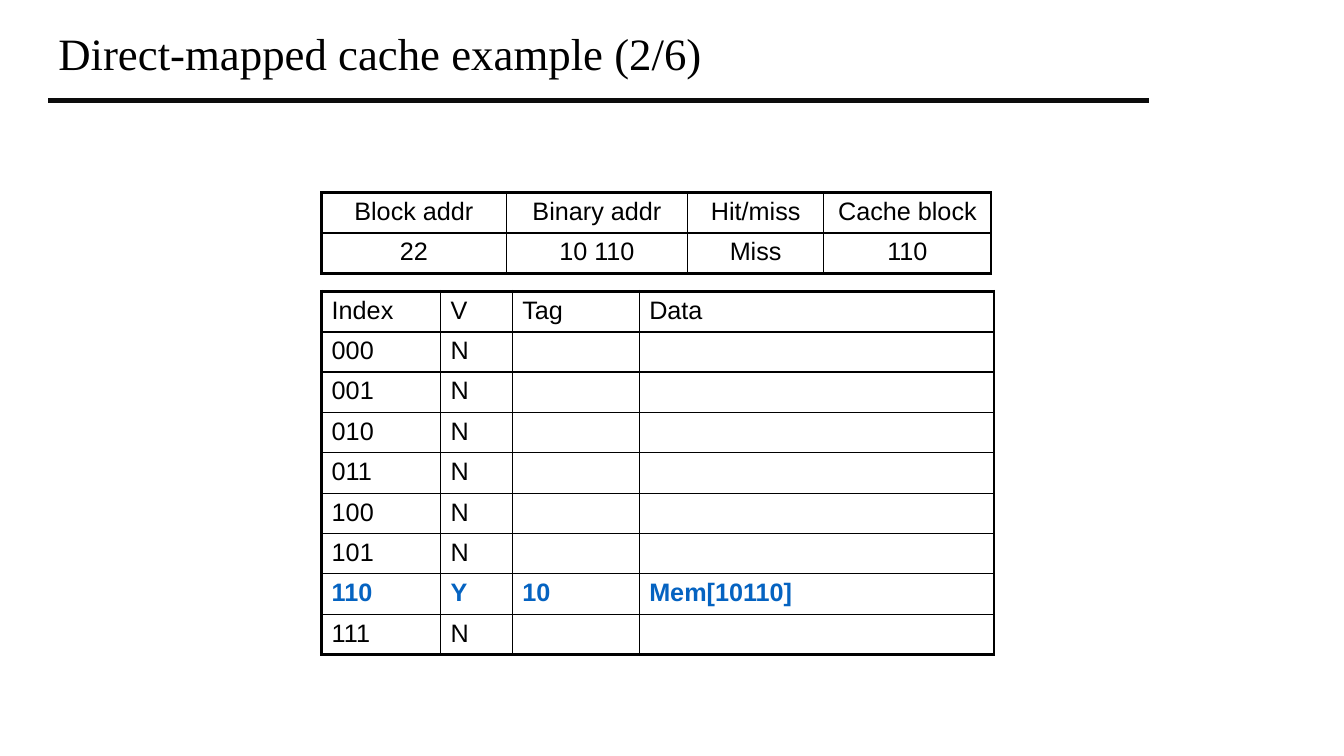
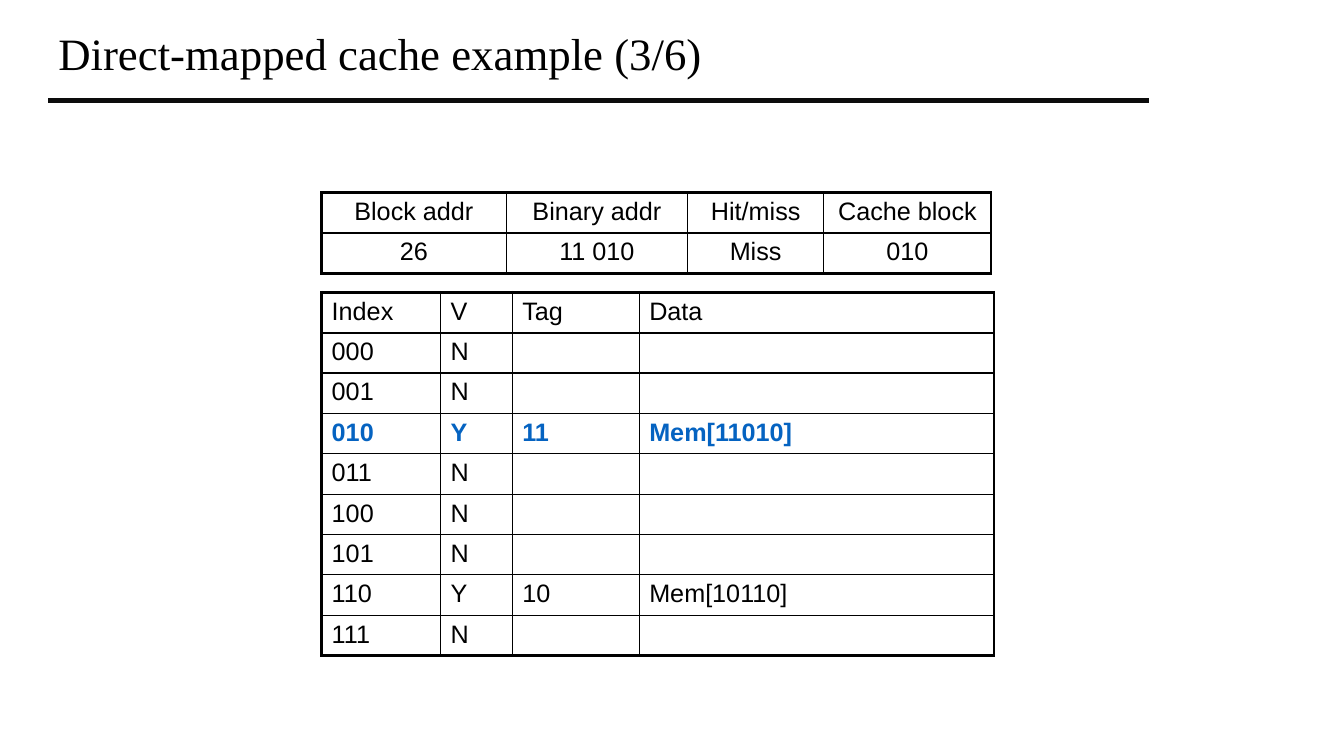
from dataclasses import dataclass

from lxml import etree
from pptx import Presentation
from pptx.dml.color import RGBColor
from pptx.enum.shapes import MSO_CONNECTOR
from pptx.enum.text import MSO_ANCHOR, PP_ALIGN
from pptx.oxml.ns import qn
from pptx.slide import Slide
from pptx.table import _Cell
from pptx.text.text import _Paragraph
from pptx.util import Emu, Pt

STRAIGHT = MSO_CONNECTOR.STRAIGHT
MIDDLE = MSO_ANCHOR.MIDDLE
LEFT, CENTER = PP_ALIGN.LEFT, PP_ALIGN.CENTER
SCALE = 9144  # EMU in one px, at 100 px to the inch


@dataclass(frozen=True)
class Theme:
    ink: str = "000000"
    rule: str = "0C0C0C"
    accent: str = "0563C1"
    serif: str = "Times New Roman"
    sans: str = "Arial"
    title: float = 32
    body: float = 18
    bar: float = 3.75
    outer: float = 2.25
    header: float = 1.5
    inner: float = 1


@dataclass(frozen=True)
class Grid:
    top: int
    cols: tuple[int, ...]
    rows: list[list[str]]
    align: PP_ALIGN
    hot: int = -1  # row shown in the accent colour


@dataclass(frozen=True)
class Step:
    title: str
    blocks: tuple[int, ...]  # block addresses read so far
    top: int  # top of the cache table


THEME = Theme()
SIDE = 319
ROW = 40
ADDR_TOP = 191
ADDR_COLS = (183, 180, 135, 166)
CACHE_COLS = (118, 71, 126, 352)
ADDR_HEAD = ["Block addr", "Binary addr", "Hit/miss", "Cache block"]
CACHE_HEAD = ["Index", "V", "Tag", "Data"]

STEPS = (
    Step("Direct-mapped cache example (2/6)", (22,), 289),
    Step("Direct-mapped cache example (3/6)", (22, 26), 290),
)


def px(length: int) -> Emu:
    return Emu(length * SCALE)


def add_run(para: _Paragraph, text: str, font: str, size: float,
            color: str, bold: bool = False) -> None:
    run = para.add_run()
    run.text = text
    run.font.name = font
    run.font.size = Pt(size)
    run.font.bold = bold
    run.font.color.rgb = RGBColor.from_string(color)


def add_title(slide: Slide, text: str) -> None:
    box = slide.shapes.add_textbox(px(48), px(13), px(1080), px(86))
    frame = box.text_frame
    frame.word_wrap = True
    frame.vertical_anchor = MIDDLE
    para = frame.paragraphs[0]
    para.line_spacing = 0.9
    add_run(para, text, THEME.serif, THEME.title, THEME.ink)

    bar = slide.shapes.add_connector(STRAIGHT, px(48), px(100), px(1140), px(100))
    bar.line.color.rgb = RGBColor.from_string(THEME.rule)
    bar.line.width = Pt(THEME.bar)
    etree.SubElement(bar._element.spPr, qn("a:effectLst"))


def set_edges(cell: _Cell, edges: dict[str, float]) -> None:
    """Draw the cell borders; keys are L, R, T, B in that order."""
    props = cell._tc.get_or_add_tcPr()
    for side, width in edges.items():
        line = etree.SubElement(props, qn(f"a:ln{side}"), w=str(Pt(width)))
        fill = etree.SubElement(line, qn("a:solidFill"))
        etree.SubElement(fill, qn("a:srgbClr"), val=THEME.ink)


def row_edge(line: int, last: int) -> float:
    """Width of a horizontal rule, counted from the top of the table."""
    if line in (0, last):
        return THEME.outer
    return THEME.header if line == 1 else THEME.inner


def col_edge(line: int, last: int) -> float:
    return THEME.outer if line in (0, last) else THEME.inner


def add_grid(slide: Slide, grid: Grid) -> None:
    high, wide = len(grid.rows), len(grid.cols)
    frame = slide.shapes.add_table(
        high, wide, px(SIDE), px(grid.top), px(sum(grid.cols)), px(ROW * high))
    table = frame.table
    table.first_row = table.horz_banding = False
    for col, width in zip(table.columns, grid.cols):
        col.width = px(width)
    for r, texts in enumerate(grid.rows):
        table.rows[r].height = px(ROW)
        hot = r == grid.hot
        color = THEME.accent if hot else THEME.ink
        for c, text in enumerate(texts):
            cell = table.cell(r, c)
            set_edges(cell, {
                "L": col_edge(c, wide), "R": col_edge(c + 1, wide),
                "T": row_edge(r, high), "B": row_edge(r + 1, high)})
            cell.fill.background()
            para = cell.text_frame.paragraphs[0]
            para.alignment = grid.align
            if text:
                add_run(para, text, THEME.sans, THEME.body, color, hot)
            else:
                para.font.size = Pt(THEME.body)


def split(block: int) -> tuple[str, str]:
    """Return the tag and the index bits of a block address."""
    return f"{block >> 3:02b}", f"{block & 7:03b}"


def cache_rows(blocks: tuple[int, ...]) -> list[list[str]]:
    held = {index: tag for tag, index in map(split, blocks)}
    rows = [CACHE_HEAD]
    for n in range(8):
        index = f"{n:03b}"
        tag = held.get(index)
        rows.append([index, "Y", tag, f"Mem[{tag}{index}]"] if tag
                    else [index, "N", "", ""])
    return rows


def add_step(slide: Slide, step: Step) -> None:
    block = step.blocks[-1]
    tag, index = split(block)
    access = [str(block), f"{tag} {index}", "Miss", index]
    add_title(slide, step.title)
    add_grid(slide, Grid(step.top, CACHE_COLS, cache_rows(step.blocks), LEFT,
                         hot=int(index, 2) + 1))
    add_grid(slide, Grid(ADDR_TOP, ADDR_COLS, [ADDR_HEAD, access], CENTER))


def main() -> None:
    deck = Presentation()
    deck.slide_width, deck.slide_height = px(1333), px(750)
    blank = deck.slide_layouts[6]
    for step in STEPS:
        add_step(deck.slides.add_slide(blank), step)
    deck.save("out.pptx")


if __name__ == "__main__":
    main()
